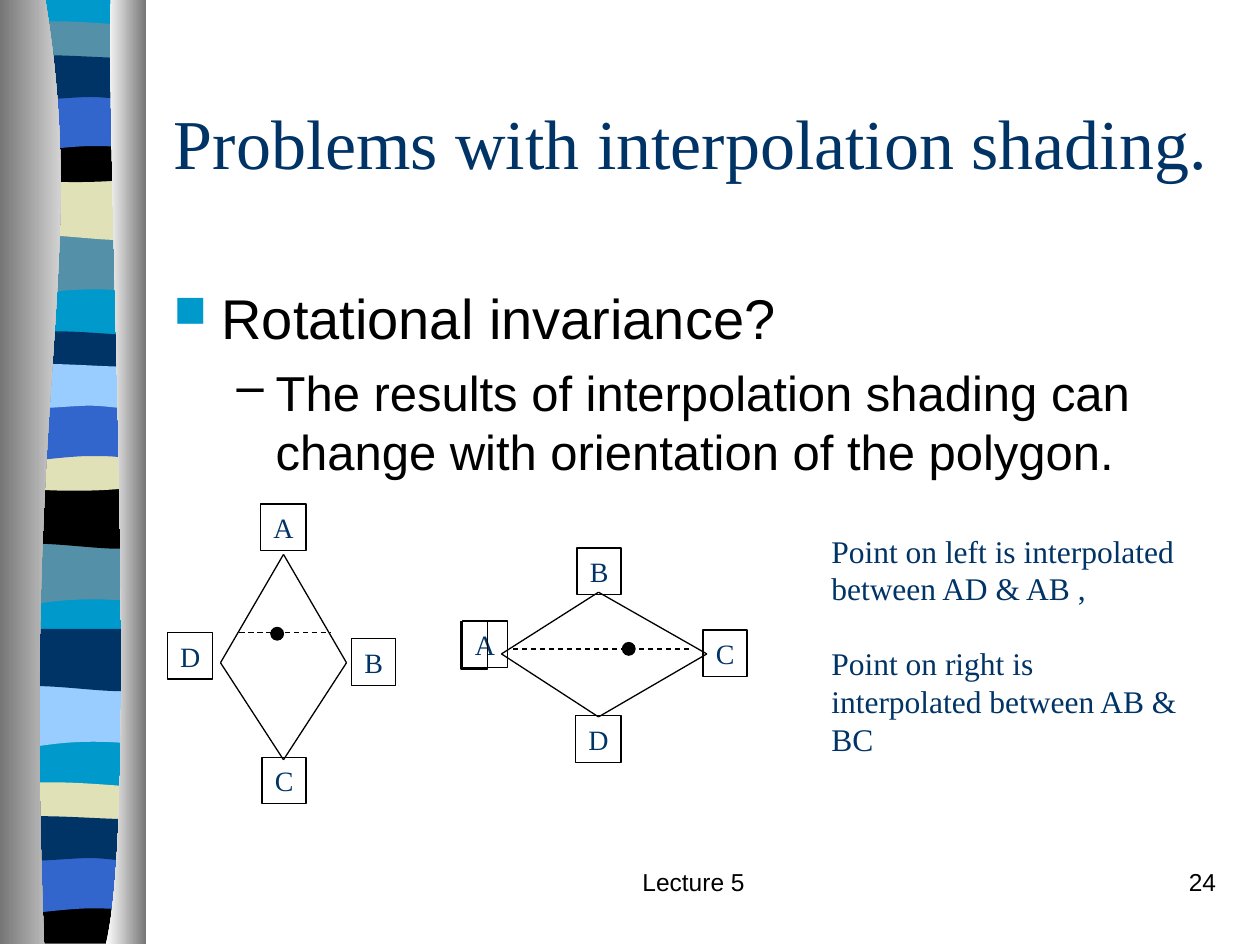
from dataclasses import dataclass
from lxml import etree
from pptx import Presentation
from pptx import util as u
from pptx.dml.color import RGBColor
from pptx.enum import dml, shapes, text
from pptx.oxml.ns import qn

PX = 9144  # 100 px to the inch
HUES = {"ink": "000000", "navy": "003366", "sky": "0099CC", "teal": "5490A8",
        "sand": "E1E1B7", "blue": "3366CC", "pale": "99CCFF",
        "grey": "767676", "white": "FFFFFF"}
SERIF, SANS = "Times New Roman", "Arial"

# Outlines: a pair is a straight step, six numbers are a cubic curve.
WAVES = {
    "swell": [(108, 0), (108, 47), (33, 39, 18, 55, 0, 47), (0, 0)],
    "roll": [(108, 0), (108, 47), (90, 55, 33, 41, 0, 47), (0, 0)],
    "thin": [(108, 5), (108, 29), (90, 33, 18, 33, 0, 29), (0, 5),
             (6, 0, 23, 1, 41, 1), (59, 1, 94, 4, 108, 5)],
    "sag": [(108, 0), (108, 32), (90, 38, 18, 38, 0, 32), (0, 0),
            (66, 5, 85, 0, 108, 0)],
    "arch": [(108, 0), (108, 47), (91, 42, 84, 42, 66, 42),
             (48, 42, 16, 47, 0, 47), (0, 0)],
    "lip": [(108, 5), (108, 36), (101, 41, 84, 36, 66, 36),
            (48, 36, 11, 41, 0, 36), (0, 5), (15, 0, 73, 5, 91, 5),
            (109, 5, 104, 5, 108, 5)],
    "end": [(108, 0), (108, 37), (0, 37), (0, 0), (66, 5, 85, 0, 108, 0)],
}
LEFT = [(36, 0), (71, 216, 17, 296, 35, 749), (0, 749), (0, 0)]
RIGHT = [(88, 0), (84, 125, 111, 646, 84, 749), (116, 749), (116, 0)]


@dataclass
class Band:
    wave: str
    x: int
    y: int
    hue: str


@dataclass
class Label:
    name: str
    x: int
    y: int
    w: int


@dataclass
class Kite:
    ends: list[tuple[int, int]]
    chord: tuple[int, int, int]  # left, right, height
    dot: tuple[int, int]
    labels: list[Label]


BANDS = [
    Band("swell", 6, 185, "teal"), Band("roll", 6, 141, "sand"),
    Band("thin", 6, 16, "teal"), Band("sag", 6, 108, "ink"),
    Band("arch", 6, 74, "blue"), Band("lip", 6, 41, "navy"),
    Band("swell", 5, 431, "teal"), Band("roll", 5, 386, "ink"),
    Band("thin", 5, 262, "navy"), Band("sag", 5, 353, "sand"),
    Band("arch", 5, 320, "blue"), Band("lip", 5, 286, "pale"),
    Band("swell", 6, 544, "pale"), Band("roll", 6, 499, "navy"),
    Band("thin", 5, 620, "sand"), Band("end", 5, 712, "ink"),
    Band("arch", 5, 679, "blue"), Band("lip", 5, 645, "navy"),
]
KITES = [
    Kite([(225, 440), (275, 526), (225, 603), (175, 526)], (190, 262, 502),
         (215, 498), [Label("A", 207, 400, 36), Label("B", 279, 507, 35),
                      Label("C", 208, 601, 35), Label("D", 133, 502, 36)]),
    Kite([(475, 470), (561, 519), (475, 569), (398, 519)], (407, 550, 515),
         (494, 510), [Label("A", 367, 493, 36), Label("B", 458, 435, 35),
                      Label("C", 558, 500, 35), Label("D", 457, 568, 36)]),
]


def rgb(hue: str) -> RGBColor:
    return RGBColor.from_string(HUES[hue])


def outline(slide, path: list[tuple], x: int = 0, y: int = 0):
    """Draw straight steps first, then join each three of a curve into one."""
    pts = [((part[i] + x) * PX, (part[i + 1] + y) * PX)
           for part in path for i in range(0, len(part), 2)]
    pen = slide.shapes.build_freeform(*pts[0], scale=1.0)
    pen.add_line_segments(pts[1:], close=True)
    shape = pen.convert_to_shape()
    steps = iter(list(shape._element.iter(qn("a:lnTo"))))
    for part in path[1:]:
        step = next(steps)
        if len(part) == 6:
            step.tag = qn("a:cubicBezTo")
            for rest in (next(steps), next(steps)):
                step.append(rest[0])
                rest.getparent().remove(rest)
    shape.shadow.inherit = False
    shape.line.fill.background()
    return shape


def pillar(slide, path: list[tuple], *hues: str) -> None:
    fill = outline(slide, path).fill
    fill.gradient()
    fill.gradient_angle = 0
    for stop, hue in zip(fill.gradient_stops, hues):
        stop.color.rgb = rgb(hue)


def preset(slide, kind, box: tuple, fill: str = "", edge: str = "ink"):
    shape = slide.shapes.add_shape(kind, *(n * PX for n in box))
    shape.shadow.inherit = False
    if fill:
        shape.fill.solid()
        shape.fill.fore_color.rgb = rgb(fill)
    else:
        shape.fill.background()
    if edge:
        shape.line.color.rgb = rgb(edge)
        shape.line.width = u.Pt(0.75)
    else:
        shape.line.fill.background()
    return shape


def stroke(slide, start: tuple, stop: tuple, dash: bool = False) -> None:
    line = slide.shapes.add_connector(
        shapes.MSO_CONNECTOR.STRAIGHT, *(n * PX for n in start + stop))
    line.line.color.rgb = rgb("ink")
    line.line.width = u.Pt(0.75)
    if dash:
        line.line.dash_style = dml.MSO_LINE.DASH
    etree.SubElement(line._element.spPr, qn("a:effectLst"))


def style(para, size: int, face: str, hue: str, align=text.PP_ALIGN.LEFT) -> None:
    para.alignment = align
    for run in para.runs:
        run.font.size = u.Pt(size)
        run.font.name = face
        run.font.color.rgb = rgb(hue)


def write(slide, box: tuple, words: str, size: int, face: str, hue: str,
          align=text.PP_ALIGN.LEFT):
    frame = slide.shapes.add_textbox(*(n * PX for n in box)).text_frame
    frame.word_wrap = True
    frame.text = words
    for para in frame.paragraphs:
        style(para, size, face, hue, align)
    return frame


def bullet(para, mark: str, hue: str, share: int, left: int, hang: int) -> None:
    props = para._p.get_or_add_pPr()
    props.set("marL", str(left * PX))
    props.set("indent", str(-hang * PX))
    tint = etree.SubElement(props, qn("a:buClr"))
    etree.SubElement(tint, qn("a:srgbClr")).set("val", HUES[hue])
    etree.SubElement(props, qn("a:buSzPct")).set("val", str(share * 1000))
    etree.SubElement(props, qn("a:buChar")).set("char", mark)


def draw(slide, kite: Kite) -> None:
    for start, stop in zip(kite.ends, kite.ends[1:] + kite.ends[:1]):
        stroke(slide, start, stop)
    preset(slide, shapes.MSO_SHAPE.OVAL, (*kite.dot, 10, 10), "ink")
    left, right, y = kite.chord
    stroke(slide, (left, y), (right, y), dash=True)
    for label in kite.labels:
        box = (label.x, label.y, label.w, 37)
        frame = preset(slide, shapes.MSO_SHAPE.RECTANGLE, box).text_frame
        frame.word_wrap = False
        frame.text = label.name
        style(frame.paragraphs[0], 16, SERIF, "navy", text.PP_ALIGN.CENTER)


def main() -> None:
    deck = Presentation()
    deck.slide_width, deck.slide_height = 1000 * PX, 750 * PX
    slide = deck.slides.add_slide(deck.slide_layouts[5])

    preset(slide, shapes.MSO_SHAPE.RECTANGLE, (6, 0, 108, 747), "sky", "")
    for band in BANDS:
        fill = outline(slide, WAVES[band.wave], band.x, band.y).fill
        fill.solid()
        fill.fore_color.rgb = rgb(band.hue)
    pillar(slide, LEFT, "grey", "white")
    pillar(slide, RIGHT, "white", "grey")

    title = slide.shapes.title
    title.left, title.top, title.width, title.height = (
        n * PX for n in (128, 50, 850, 125))
    title.text_frame.text = "Problems with interpolation shading."
    title.text_frame.vertical_anchor = text.MSO_ANCHOR.MIDDLE
    style(title.text_frame.paragraphs[0], 40, SERIF, "navy")

    body = write(slide, (128, 220, 850, 172), "Rotational invariance?\n"
                 "The results of interpolation shading can change with "
                 "orientation of the polygon.", 28, SANS, "ink")
    head, point = body.paragraphs
    bullet(head, "■", "sky", 80, 38, 38)
    bullet(point, "–", "ink", 100, 81, 31)
    style(head, 32, SANS, "ink")
    point.space_before = u.Pt(7)

    for kite in KITES:
        draw(slide, kite)
    preset(slide, shapes.MSO_SHAPE.RECTANGLE, (366, 493, 21, 38))

    note = write(slide, (650, 417, 300, 190),
                 "Point on left is interpolated between AD & AB ,\n"
                 "Point on right is interpolated between AB & BC", 18, SERIF, "navy")
    note.paragraphs[1].space_before = u.Pt(21)

    write(slide, (392, 683, 317, 50), "Lecture 5", 14, SANS, "ink", text.PP_ALIGN.CENTER)
    write(slide, (767, 683, 208, 50), "24", 14, SANS, "ink", text.PP_ALIGN.RIGHT)
    deck.save("out.pptx")


if __name__ == "__main__":
    main()
